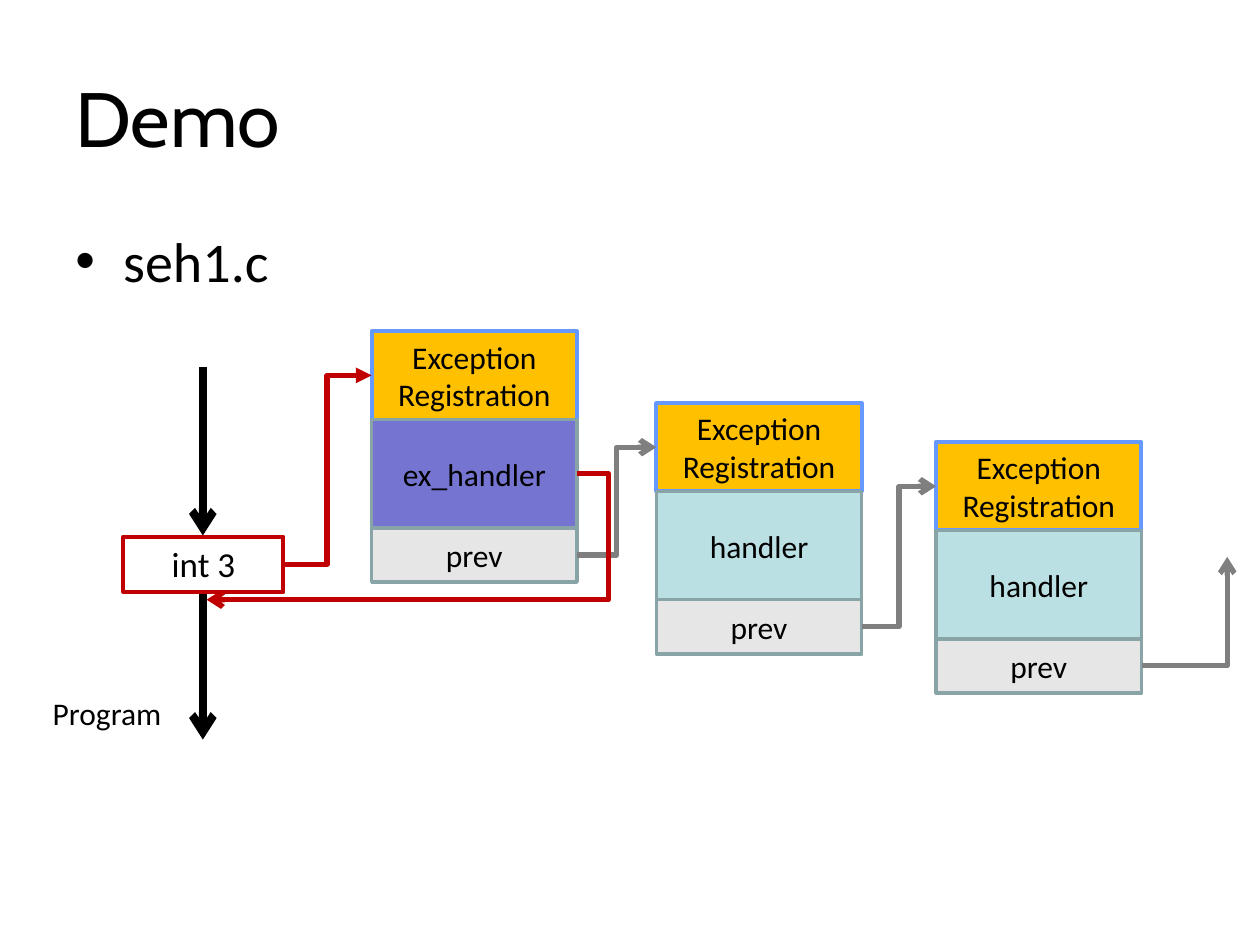
import dataclasses

import pptx
import pptx.dml.color
import pptx.enum.shapes
import pptx.enum.text
import pptx.oxml
import pptx.oxml.ns
import pptx.util

Inches = pptx.util.Inches
Pt = pptx.util.Pt
RGB = pptx.dml.color.RGBColor.from_string
ANCHOR = pptx.enum.text.MSO_ANCHOR
ALIGN = pptx.enum.text.PP_ALIGN
CONNECTOR = pptx.enum.shapes.MSO_CONNECTOR


@dataclasses.dataclass(frozen=True)
class Theme:
    ink: str = "000000"
    red: str = "C00000"
    grey: str = "7F7F7F"
    header_fill: str = "FFC000"
    header_edge: str = "6699FF"
    active_fill: str = "7575D1"
    handler_fill: str = "BBE0E3"
    prev_fill: str = "E6E6E6"
    field_edge: str = "89A4A7"
    title_font: str = "Cabin"
    body_font: str = "Calibri"
    title_size: int = 44
    bullet_size: int = 32
    step_size: int = 20
    label_size: int = 18


THEME = Theme()

# Heights of the three fields of a registration record
HEADER_H, HANDLER_H, PREV_H = 0.7, 0.86, 0.43
CARD_W = 1.63


def apply(target, values):
    for name, value in values.items():
        setattr(target, name, value)


def write(shape, lines, size, font=THEME.body_font, align=ALIGN.LEFT, **frame_format):
    """Put one paragraph per line into the shape."""
    frame = shape.text_frame
    apply(frame, {"word_wrap": True, "vertical_anchor": ANCHOR.TOP, **frame_format})
    frame.text = "\n".join(lines)
    for paragraph in frame.paragraphs:
        paragraph.alignment = align
        apply(paragraph.runs[0].font, {"name": font, "size": Pt(size)})
        paragraph.runs[0].font.color.rgb = RGB(THEME.ink)


def add_text(slide, box, text, size, **style):
    label = slide.shapes.add_textbox(*map(Inches, box))
    write(label, [text], size, **style)
    return label


def add_bullet(slide, box, text):
    label = add_text(slide, box, text, THEME.bullet_size)
    paragraph = label.text_frame.paragraphs[0]
    paragraph.space_before = Pt(8)
    properties = paragraph._p.get_or_add_pPr()
    properties.set("marL", str(Inches(0.38)))
    properties.set("indent", str(-Inches(0.38)))
    namespace = pptx.oxml.ns.nsdecls("a")
    for xml in (f'<a:buFont {namespace} typeface="Arial"/>',
                f'<a:buChar {namespace} char="•"/>'):
        properties.append(pptx.oxml.parse_xml(xml))


def add_box(slide, box, lines, size, edge, edge_width, fill=None, anchor=ANCHOR.MIDDLE):
    rect = slide.shapes.add_shape(
        pptx.enum.shapes.MSO_SHAPE.RECTANGLE, *map(Inches, box))
    rect.shadow.inherit = False
    if fill:
        rect.fill.solid()
        rect.fill.fore_color.rgb = RGB(fill)
    else:
        rect.fill.background()
    rect.line.color.rgb = RGB(edge)
    rect.line.width = Pt(edge_width)
    write(rect, lines, size, align=ALIGN.CENTER, vertical_anchor=anchor)


def add_arrow(slide, start, end, color, width=3, head="arrow",
              kind=CONNECTOR.ELBOW, preset=None, bend=None):
    """Draw an arrow; bend places the middle leg as a share of the span."""
    arrow = slide.shapes.add_connector(kind, *map(Inches, (*start, *end)))
    arrow.line.color.rgb = RGB(color)
    arrow.line.width = Pt(width)
    namespace = pptx.oxml.ns.nsdecls("a")
    properties = arrow._element.spPr
    arrow.line._get_or_add_ln().append(
        pptx.oxml.parse_xml(f'<a:tailEnd {namespace} type="{head}"/>'))
    properties.append(pptx.oxml.parse_xml(f"<a:effectLst {namespace}/>"))
    geometry = properties.find(pptx.oxml.ns.qn("a:prstGeom"))
    if preset:
        geometry.set("prst", preset)
    if bend is not None:
        guides = geometry.find(pptx.oxml.ns.qn("a:avLst"))
        guides.append(pptx.oxml.parse_xml(
            f'<a:gd {namespace} name="adj1" fmla="val {round(bend * 100000)}"/>'))


def add_registration(slide, left, top, handler, handler_fill):
    """Stack header, handler and prev fields from the top down."""
    fields = (
        (HEADER_H, ["Exception", "Registration"], THEME.header_edge, 2.25,
         THEME.header_fill, ANCHOR.TOP),
        (HANDLER_H, [handler], THEME.field_edge, 2, handler_fill, ANCHOR.MIDDLE),
        (PREV_H, ["prev"], THEME.field_edge, 2, THEME.prev_fill, ANCHOR.MIDDLE),
    )
    for height, lines, edge, edge_width, fill, anchor in fields:
        add_box(slide, (left, top, CARD_W, height), lines, THEME.label_size,
                edge, edge_width, fill, anchor)
        top += height


def header_entry(card):
    return card[0], card[1] + HEADER_H / 2


def prev_exit(card):
    return card[0] + CARD_W, card[1] + HEADER_H + HANDLER_H + PREV_H / 2


def main():
    deck = pptx.Presentation()
    deck.slide_width, deck.slide_height = Inches(10), Inches(7.5)
    slide = deck.slides.add_slide(deck.slide_layouts[6])

    # Heading and bullet
    add_text(slide, (0.5, 0.3, 9, 1.25), "Demo", THEME.title_size,
             font=THEME.title_font, vertical_anchor=ANCHOR.MIDDLE)
    add_bullet(slide, (0.5, 1.75, 9, 0.82), "seh1.c")

    # Program flow, interrupted by the breakpoint
    program_x = 1.61
    for top, bottom in ((2.91, 4.25), (4.69, 5.87)):
        add_arrow(slide, (program_x, top), (program_x, bottom), THEME.ink,
                  width=4.5, kind=CONNECTOR.STRAIGHT)
    add_text(slide, (0.32, 5.46, 1.23, 0.4), "Program", THEME.label_size,
             word_wrap=False)
    add_box(slide, (0.98, 4.26, 1.27, 0.44), ["int 3"], THEME.step_size,
            THEME.red, 2.25, anchor=ANCHOR.TOP)

    # Chain of exception registrations
    cards = (
        (2.95, 2.63, "ex_handler", THEME.active_fill),
        (5.21, 3.2, "handler", THEME.handler_fill),
        (7.43, 3.51, "handler", THEME.handler_fill),
    )
    for card in cards:
        add_registration(slide, *card)
    for card, following in zip(cards, cards[1:]):
        add_arrow(slide, prev_exit(card), header_entry(following), THEME.grey)
    add_arrow(slide, prev_exit(cards[-1]), (9.74, 4.42), THEME.grey,
              preset="bentConnector2")

    # Jump into the chain and return to the program
    first = cards[0]
    add_arrow(slide, (2.24, 4.48), header_entry(first), THEME.red, head="triangle")
    handler_exit = first[0] + CARD_W, first[1] + HEADER_H + HANDLER_H / 2
    add_arrow(slide, handler_exit, (1.64, 4.76), THEME.red, bend=-0.085)

    deck.save("out.pptx")


if __name__ == "__main__":
    main()
